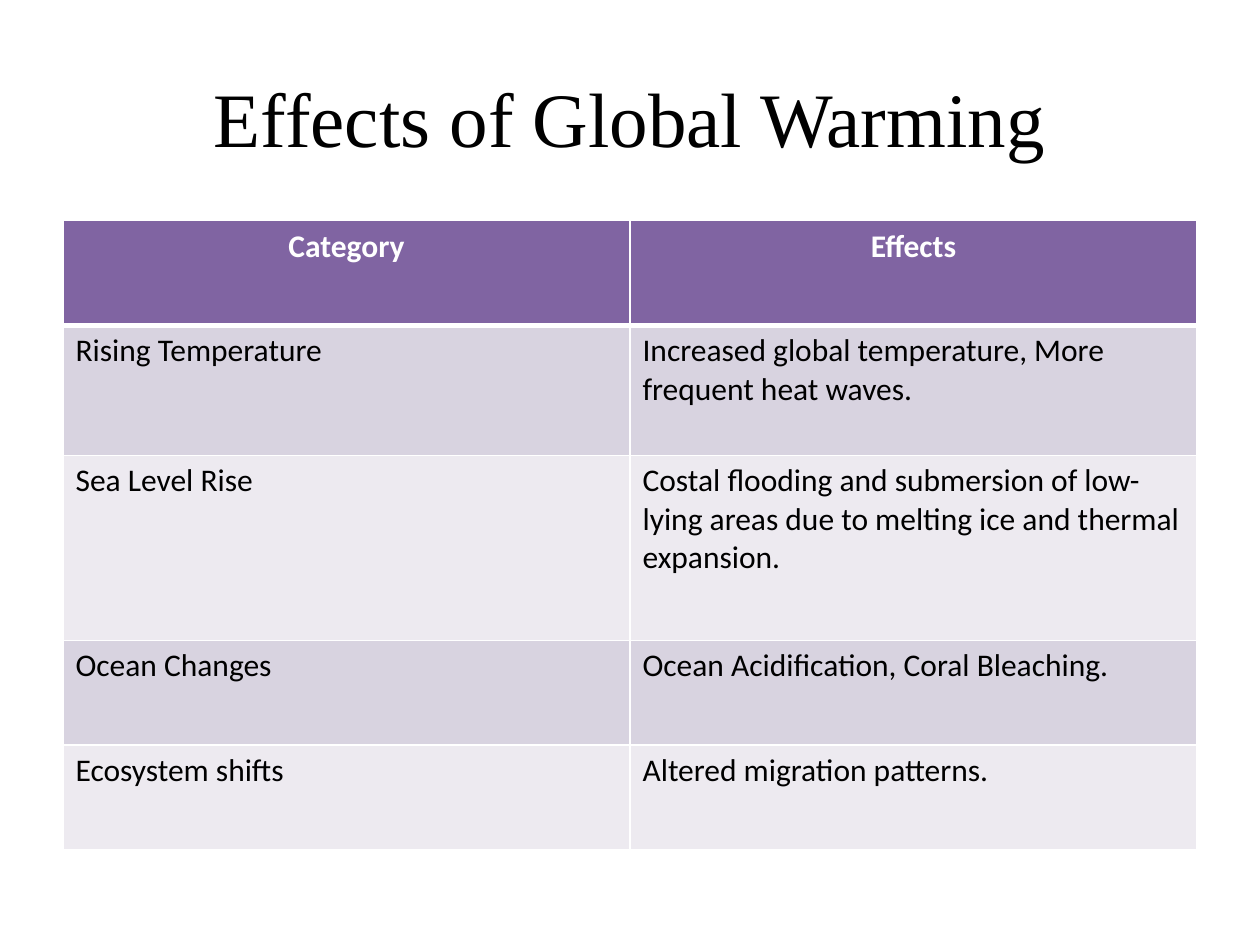
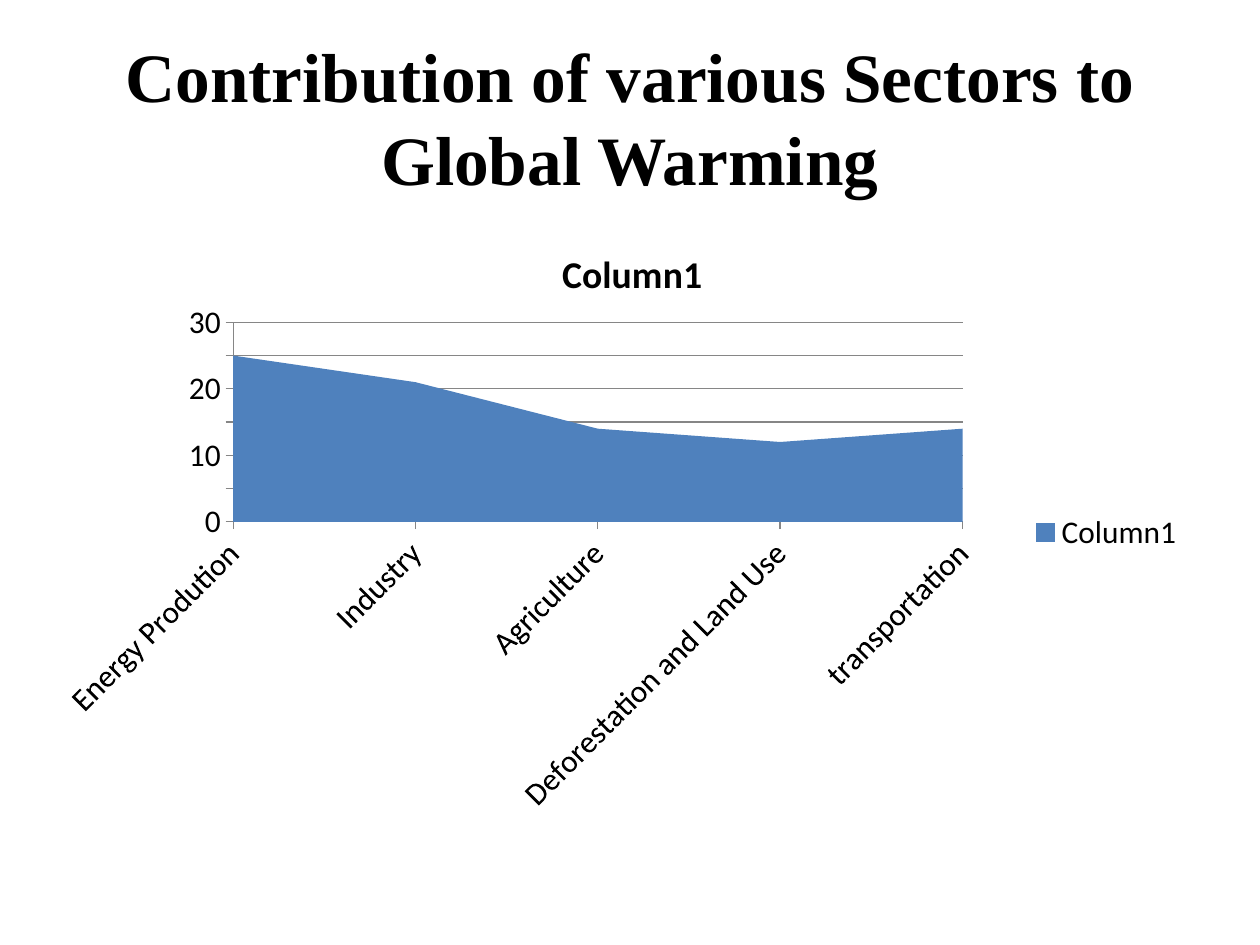
from dataclasses import dataclass
from lxml.etree import SubElement
from pptx import Presentation
from pptx.chart.data import CategoryChartData
from pptx.dml.color import RGBColor
from pptx.enum.chart import XL_CHART_TYPE, XL_LEGEND_POSITION, XL_TICK_MARK
from pptx.enum.text import MSO_ANCHOR, PP_ALIGN
from pptx.oxml.ns import qn
from pptx.util import Cm, Pt


@dataclass(frozen=True)
class Theme:
    ink: str = "000000"
    paper: str = "FFFFFF"
    header: str = "8064A2"
    bands: tuple = ("D8D3E0", "EDEAF0")
    area: str = "4F81BD"
    grid: str = "868686"
    title_font: str = "Times New Roman"
    body_font: str = "Calibri"
    title_size: float = 44
    long_title_size: float = 39.6
    chart_title_size: float = 21.6
    body_size: float = 18
    hairline: float = 0.75
    border: float = 1
    header_rule: float = 3


LEFT, WIDTH = Cm(1.27), Cm(22.86)
TITLE_TOP, TITLE_HEIGHT = Cm(0.76), Cm(3.18)
BODY_TOP = Cm(4.45)


def set_all(obj, values):
    for name, value in values.items():
        setattr(obj, name, value)


class Deck:
    def __init__(self, theme):
        self.theme = theme
        self.prs = Presentation()
        set_all(self.prs, {"slide_width": Cm(25.4), "slide_height": Cm(19.05)})
        self.s = None

    def style_font(self, font, color, size, name=None, bold=False):
        set_all(font, {"name": name or self.theme.body_font,
                       "size": Pt(size), "bold": bold})
        font.color.rgb = RGBColor.from_string(color)

    def add_slide(self, title, size, bold=False):
        t = self.theme
        self.s = self.prs.slides.add_slide(self.prs.slide_layouts[6])
        fill = self.s.background.fill
        fill.solid()
        fill.fore_color.rgb = RGBColor.from_string(t.paper)
        sp = self.s.shapes.add_textbox(LEFT, TITLE_TOP, WIDTH, TITLE_HEIGHT)
        tf = sp.text_frame
        set_all(tf, {"word_wrap": True, "vertical_anchor": MSO_ANCHOR.MIDDLE})
        self.add_text(tf, title, t.ink, size, t.title_font, bold, PP_ALIGN.CENTER)

    def add_text(self, tf, text, color, size, name=None, bold=False, align=PP_ALIGN.LEFT):
        p = tf.paragraphs[0]
        p.alignment = align
        r = p.add_run()
        r.text = text
        self.style_font(r.font, color, size, name, bold)

    def border(self, cell, bottom):
        tc_pr = cell._tc.get_or_add_tcPr()
        for side in "LRTB":
            width = bottom if side == "B" else self.theme.border
            ln = SubElement(tc_pr, qn(f"a:ln{side}"), w=str(Pt(width)))
            fill = SubElement(ln, qn("a:solidFill"))
            SubElement(fill, qn("a:srgbClr"), val=self.theme.paper)

    def cell(self, cell, text, row):
        t = self.theme
        head = row == 0
        self.border(cell, t.header_rule if head else t.border)
        cell.fill.solid()
        color = t.header if head else t.bands[(row - 1) % 2]
        cell.fill.fore_color.rgb = RGBColor.from_string(color)
        self.add_text(cell.text_frame, text, t.paper if head else t.ink, t.body_size,
                      bold=head, align=PP_ALIGN.CENTER if head else PP_ALIGN.LEFT)

    def table(self, rows, heights):
        columns = len(rows[0])
        table = self.s.shapes.add_table(
            len(rows), columns, LEFT, BODY_TOP, WIDTH, sum(heights)).table
        for i, (texts, height) in enumerate(zip(rows, heights)):
            table.rows[i].height = height
            for j, text in enumerate(texts):
                self.cell(table.cell(i, j), text, i)

    def area_chart(self, name, values, height):
        t = self.theme
        data = CategoryChartData()
        data.categories = list(values)
        data.add_series(name, list(values.values()))
        chart = self.s.shapes.add_chart(
            XL_CHART_TYPE.AREA_STACKED, LEFT, BODY_TOP, WIDTH, height, data).chart
        self.style_font(chart.font, t.ink, t.body_size)
        set_all(chart, {"has_title": True, "has_legend": True})
        self.add_text(chart.chart_title.text_frame, name, t.ink, t.chart_title_size,
                      bold=True, align=PP_ALIGN.CENTER)
        set_all(chart.legend, {"position": XL_LEGEND_POSITION.RIGHT,
                               "include_in_layout": False})
        plot = chart.plots[0]
        plot.vary_by_categories = False
        fill = plot.series[0].format.fill
        fill.solid()
        fill.fore_color.rgb = RGBColor.from_string(t.area)
        chart.value_axis.has_major_gridlines = True
        for axis in (chart.category_axis, chart.value_axis):
            axis.major_tick_mark = XL_TICK_MARK.OUTSIDE
            self.line(axis.format.line)
        self.line(chart.value_axis.major_gridlines.format.line)

    def line(self, line):
        line.width = Pt(self.theme.hairline)
        line.color.rgb = RGBColor.from_string(self.theme.grid)


def main():
    theme = Theme()
    deck = Deck(theme)

    deck.add_slide("Effects of Global Warming", theme.title_size)
    deck.table(
        [("Category", "Effects"),
         ("Rising Temperature", "Increased global temperature, More frequent heat waves."),
         ("Sea Level Rise", "Costal flooding and submersion of low-lying areas "
                            "due to melting ice and thermal expansion."),
         ("Ocean Changes", "Ocean Acidification, Coral Bleaching."),
         ("Ecosystem shifts", "Altered migration patterns.")],
        [Cm(h) for h in (2.11, 2.62, 3.73, 2.11, 2.11)])

    deck.add_slide("Contribution of various Sectors to Global Warming",
                   theme.long_title_size, bold=True)
    deck.area_chart(
        "Column1",
        {"Energy Prodution": 25, "Industry": 21, "Agriculture": 14,
         "Deforestation and Land Use": 12, "transportation": 14},
        Cm(12.57))

    deck.prs.save("out.pptx")


if __name__ == "__main__":
    main()
